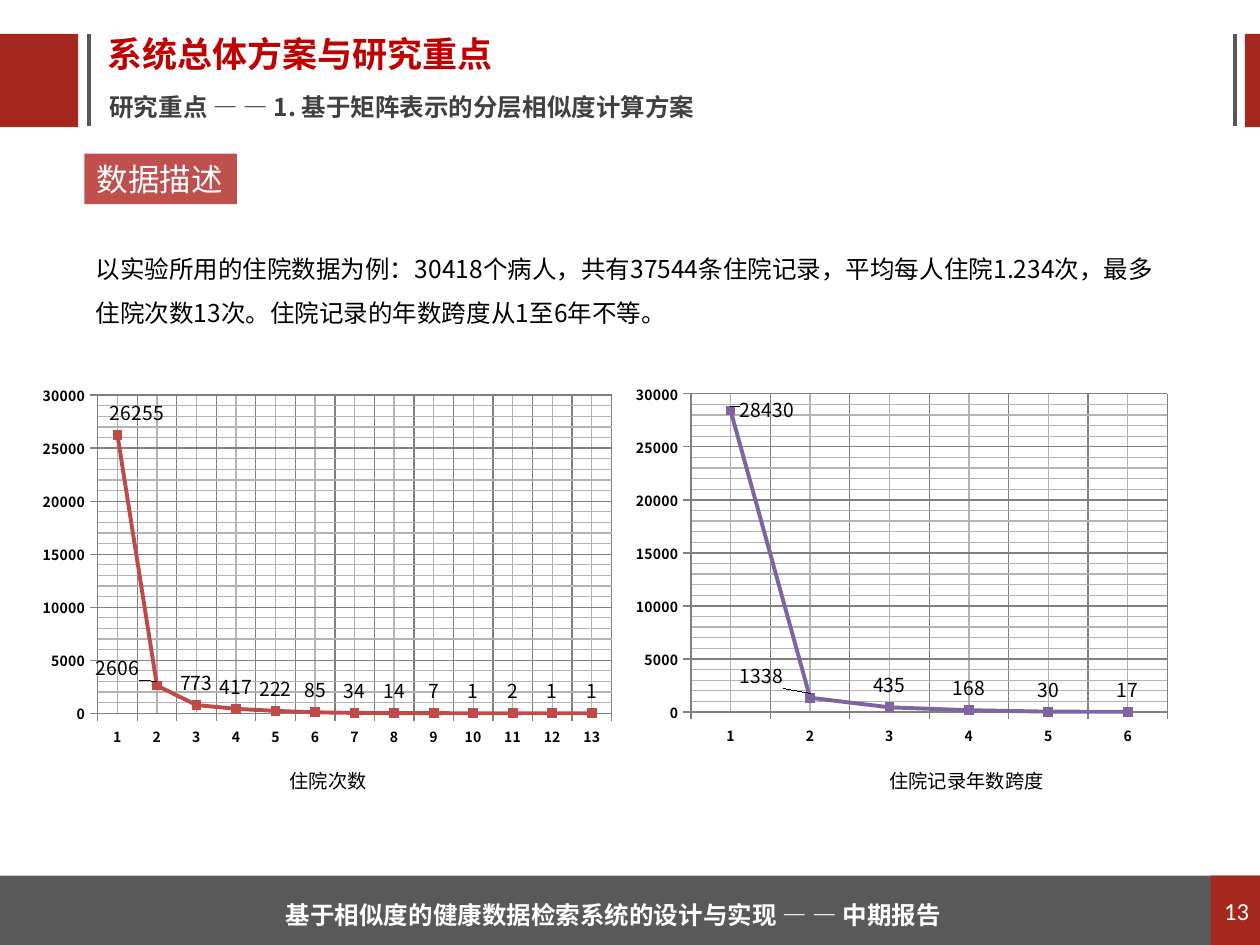
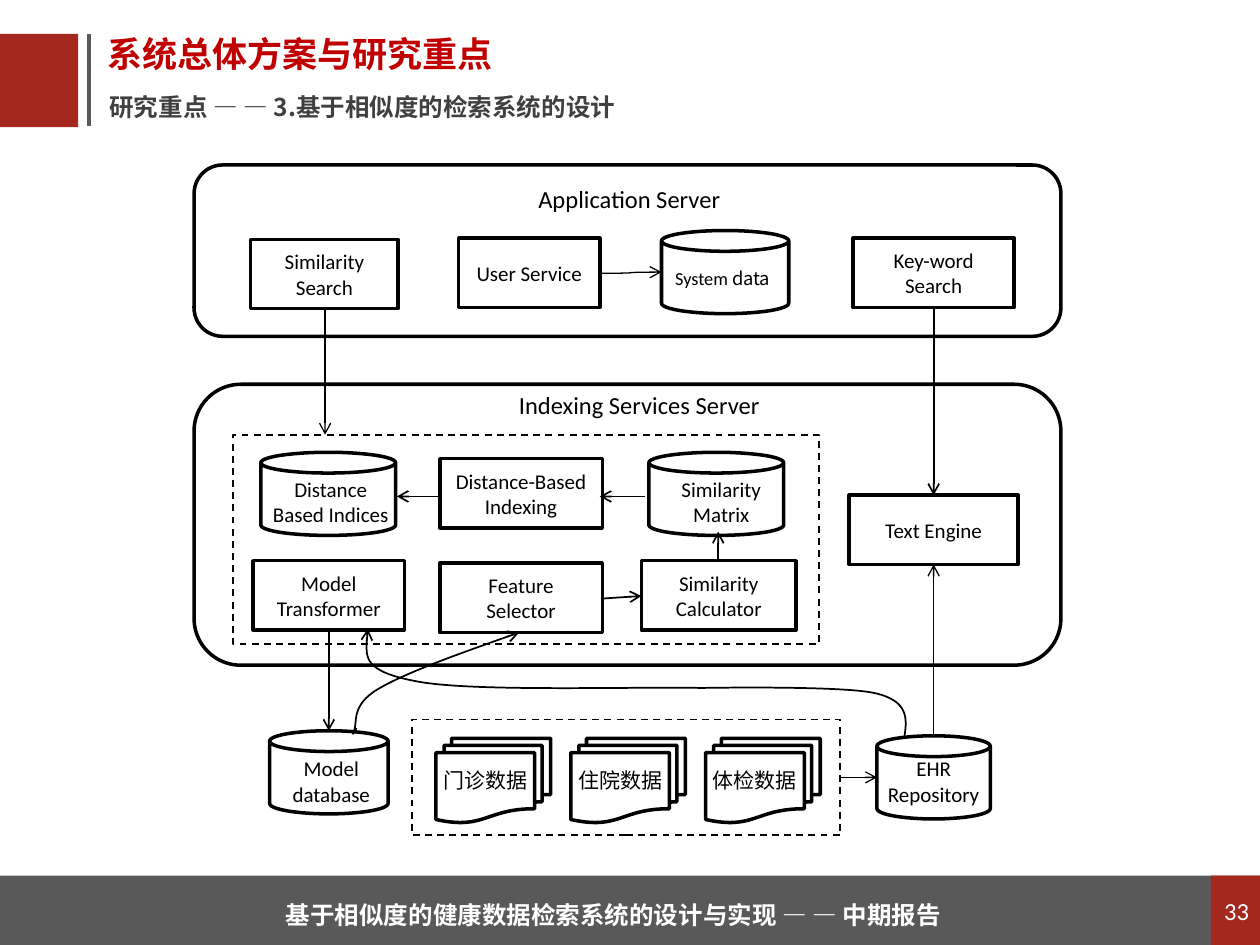
from lxml.etree import SubElement
from pptx import Presentation
from pptx.chart.data import CategoryChartData
from pptx.dml.color import RGBColor
from pptx.enum.chart import XL_CHART_TYPE, XL_LABEL_POSITION, XL_MARKER_STYLE, XL_TICK_MARK
from pptx.enum.dml import MSO_LINE
from pptx.enum.shapes import MSO_CONNECTOR, MSO_SHAPE
from pptx.enum.text import MSO_ANCHOR, MSO_AUTO_SIZE, PP_ALIGN
from pptx.oxml.ns import qn
from pptx.util import Inches, Pt

WIDTH, HEIGHT = Inches(10), Inches(7.5)
COLUMN, ROW = WIDTH / 10, HEIGHT / 7.5

BLACK = RGBColor(0x00, 0x00, 0x00)
WHITE = RGBColor(0xFF, 0xFF, 0xFF)
BRICK = RGBColor(0xA5, 0x28, 0x1E)
TITLE_RED = RGBColor(0xC0, 0x00, 0x00)
TAG_RED = RGBColor(0xC0, 0x50, 0x4D)
SERIES_RED = RGBColor(0xBE, 0x4B, 0x48)
SERIES_PURPLE = RGBColor(0x80, 0x64, 0xA2)
SLATE = RGBColor(0x59, 0x59, 0x59)
SUBTITLE_GRAY = RGBColor(0x40, 0x40, 0x40)
MAJOR_GRAY = RGBColor(0x80, 0x80, 0x80)
MINOR_GRAY = RGBColor(0xB3, 0xB3, 0xB3)

LATIN, CJK = "Calibri", "Noto Sans CJK SC"
TITLE = "系统总体方案与研究重点"
FOOTER = "基于相似度的健康数据检索系统的设计与实现 — — 中期报告"


def cells(*values):
    """Turn alternating grid columns and rows into slide lengths."""
    return [round(value * (ROW if index % 2 else COLUMN)) for index, value in enumerate(values)]


def write(shape, runs, size, color=BLACK, font=CJK, bold=False,
          align=PP_ALIGN.LEFT, wrap=True, spacing=None):
    """Write one paragraph, run by run; a run is text or a (text, font) pair."""
    frame = shape.text_frame
    frame.word_wrap = wrap
    para = frame.paragraphs[0]
    para.alignment = align
    para.line_spacing = spacing
    for item in [runs] if isinstance(runs, str) else runs:
        text, face = (item, font) if isinstance(item, str) else item
        span = para.add_run()
        span.text = text
        span.font.name, span.font.size, span.font.bold = face, Pt(size), bold
        span.font.color.rgb = color
        SubElement(span.font._element, qn("a:ea"), typeface=face)


def text(page, at, runs, size, inset=True, **style):
    """Add a text box that fits its text."""
    box = page.shapes.add_textbox(*cells(*at))
    frame = box.text_frame
    if not inset:
        frame.margin_left = frame.margin_right = frame.margin_top = frame.margin_bottom = 0
    write(box, runs, size, **style)
    frame.auto_size = MSO_AUTO_SIZE.SHAPE_TO_FIT_TEXT


def shape(page, at, kind=MSO_SHAPE.RECTANGLE, fill=None, line=None, dashed=False):
    """Add a preset shape with an optional fill and black outline."""
    form = page.shapes.add_shape(kind, *cells(*at))
    form.shadow.inherit = False
    if fill is None:
        form.fill.background()
    else:
        form.fill.solid()
        form.fill.fore_color.rgb = fill
    if line is None:
        form.line.fill.background()
    else:
        form.line.color.rgb = BLACK
        form.line.width = Pt(line)
        if dashed:
            form.line.dash_style = MSO_LINE.DASH
    form.text_frame.vertical_anchor = MSO_ANCHOR.MIDDLE
    return form


def add_arrowhead(form):
    """Put an open arrowhead at the end of a line."""
    SubElement(form.element.spPr.find(qn("a:ln")), qn("a:tailEnd"), type="arrow")


def line(page, start, end, weight=1.0, color=BLACK, arrow=True, kind=MSO_CONNECTOR.STRAIGHT):
    """Connect two grid points."""
    link = page.shapes.add_connector(kind, *cells(*start, *end))
    link.line.color.rgb = color
    link.line.width = Pt(weight)
    SubElement(link.element.spPr, qn("a:effectLst"))
    if arrow:
        add_arrowhead(link)


def curve(page, start, *controls):
    """Draw an arrow of cubic curves, three control points to each."""
    builder = page.shapes.build_freeform(*cells(*start))
    builder.add_line_segments([cells(*point) for point in controls], close=False)
    form = builder.convert_to_shape()
    form.shadow.inherit = False
    form.fill.background()
    form.line.color.rgb = BLACK
    form.line.width = Pt(1)
    add_arrowhead(form)
    outline = next(form.element.iter(qn("a:path")))
    for index, step in enumerate(outline.findall(qn("a:lnTo"))):
        if index % 3 == 0:
            cubic = SubElement(outline, qn("a:cubicBezTo"))
        cubic.append(step[0])
        outline.remove(step)


def node(page, at, label):
    """Add a labelled component box."""
    write(shape(page, at, fill=WHITE, line=2), label, 12, font=LATIN, align=PP_ALIGN.CENTER)


def store(page, at, label, label_at):
    """Add a data store with its label."""
    shape(page, at, MSO_SHAPE.CAN, line=2)
    text(page, label_at, label, 12, font=LATIN, align=PP_ALIGN.CENTER)


def side_mark(page, block_left, block_width, rule_left):
    """Add a heading block with its vertical rule."""
    shape(page, (block_left, 0.27, block_width, 0.74), fill=BRICK)
    line(page, (rule_left, 0.27), (rule_left, 1), 2.25, SLATE, arrow=False)


def new_page(deck, subtitle, number):
    """Add a page with the shared heading and footer."""
    page = deck.slides.add_slide(deck.slide_layouts[6])
    side_mark(page, 0, 0.62, 0.71)
    text(page, (0.85, 0.26, 3.09, 0.34), TITLE, 20, inset=False,
         color=TITLE_RED, bold=True, wrap=False)
    text(page, (0.77, 0.68, 5.18, 0.34), subtitle, 14, color=SUBTITLE_GRAY, bold=True)
    shape(page, (-0.03, 6.95, 10.05, 0.55), fill=SLATE)
    badge = shape(page, (9.61, 6.95, 0.41, 0.55), fill=BRICK)
    write(badge, number, 14, WHITE, LATIN, align=PP_ALIGN.CENTER)
    text(page, (2.17, 6.98, 5.51, 0.45), FOOTER, 14, color=WHITE, bold=True,
         wrap=False, spacing=1.5)
    return page


def set_layout(parent, index, **values):
    """Give a chart part a manual layout."""
    for old in parent.findall(qn("c:layout")):
        parent.remove(old)
    layout = parent.makeelement(qn("c:layout"))
    parent.insert(index, layout)
    manual = SubElement(layout, qn("c:manualLayout"))
    for name, value in values.items():
        SubElement(manual, qn(f"c:{name}"), val=str(value))


def style_axis(axis):
    """Style the grid, ticks and labels of an axis."""
    axis.has_major_gridlines = axis.has_minor_gridlines = True
    for rule in (axis.major_gridlines.format.line, axis.format.line):
        rule.color.rgb = MAJOR_GRAY
        rule.width = Pt(0.75)
    minor = SubElement(axis._element.find(qn("c:minorGridlines")), qn("c:spPr"))
    stroke = SubElement(minor, qn("a:ln"), w=str(Pt(0.75)))
    SubElement(SubElement(stroke, qn("a:solidFill")), qn("a:srgbClr"), val=str(MINOR_GRAY))
    axis.major_tick_mark = XL_TICK_MARK.OUTSIDE
    axis.minor_tick_mark = XL_TICK_MARK.NONE
    axis.tick_labels.font.size = Pt(8)
    axis.tick_labels.font.bold = True


def line_chart(page, at, values, color, label_shifts):
    """Add a marked line chart, shifting the labels of its first points."""
    data = CategoryChartData()
    data.categories = [str(number) for number in range(1, len(values) + 1)]
    data.add_series("Series 1", values)
    chart = page.shapes.add_chart(XL_CHART_TYPE.LINE_MARKERS, *cells(*at), data).chart
    chart.has_legend = chart.has_title = False
    chart.font.name, chart.font.size = CJK, Pt(11)
    chart.font.color.rgb = BLACK
    style_axis(chart.category_axis)
    style_axis(chart.value_axis)
    scale = chart.value_axis
    scale.minimum_scale, scale.maximum_scale = 0, 30000
    scale.major_unit, scale.minor_unit = 5000, 1000
    set_layout(next(chart.element.iter(qn("c:plotArea"))), 0, layoutTarget="inner",
               xMode="edge", yMode="edge", x=0.11, y=0.1, w=0.78, h=0.73)
    plot = chart.plots[0]
    plot.vary_by_categories = False
    series = plot.series[0]
    series.smooth = False
    series.format.line.color.rgb = color
    series.format.line.width = Pt(2.25)
    series.marker.style, series.marker.size = XL_MARKER_STYLE.SQUARE, 5
    series.marker.format.fill.solid()
    series.marker.format.fill.fore_color.rgb = color
    series.marker.format.line.color.rgb = color
    series.data_labels.show_value = True
    series.data_labels.position = XL_LABEL_POSITION.ABOVE
    for index in range(len(label_shifts)):
        series.points[index].data_label.position = XL_LABEL_POSITION.ABOVE
    labels = list(chart.element.iter(qn("c:dLbl")))
    for label, (x, y) in zip(labels, label_shifts):
        set_layout(label, 1, x=x, y=y)


def build_data_page(deck):
    """Build the page that describes the hospital data."""
    page = new_page(deck, "研究重点 — — 1. 基于矩阵表示的分层相似度计算方案", "13")
    side_mark(page, 9.88, 0.13, 9.8)
    write(shape(page, (0.67, 1.22, 1.21, 0.4), fill=TAG_RED), "数据描述", 18, WHITE, wrap=False)
    text(page, (0.66, 1.85, 8.76, 1.01),
         "以实验所用的住院数据为例：30418个病人，共有37544条住院记录，平均每人住院1.234次，"
         "最多住院次数13次。住院记录的年数跨度从1至6年不等。", 14, spacing=1.5)
    line_chart(page, (0.2, 2.79, 5.23, 3.46),
               (26255, 2606, 773, 417, 222, 85, 34, 14, 7, 1, 2, 1, 1),
               SERIES_RED, ((0.03, 0), (-0.06, 0.01)))
    line_chart(page, (4.95, 2.78, 4.85, 3.46), (28430, 1338, 435, 168, 30, 17),
               SERIES_PURPLE, ((0.06, 0.05), (-0.08, 0)))
    for left, caption in ((2.2, "住院次数"), (6.96, "住院记录年数跨度")):
        text(page, (left, 6.06, 1.43, 0.29), caption, 11)


def build_design_page(deck):
    """Build the page that shows the retrieval system."""
    page = new_page(deck, "研究重点 — — 3.基于相似度的检索系统的设计", "33")
    for top, height in ((1.31, 1.36), (3.05, 2.23)):
        shape(page, (1.54, top, 6.88, height), MSO_SHAPE.ROUNDED_RECTANGLE, line=2)
    for at, name in (((4.14, 1.41, 1.71, 0.34), "Application Server"),
                     ((4.01, 3.05, 2.13, 0.34), "Indexing Services Server")):
        text(page, at, name, 14, font=LATIN, align=PP_ALIGN.CENTER, wrap=False)
    for at in ((1.85, 3.45, 4.65, 1.66), (3.27, 5.71, 3.4, 0.92)):
        shape(page, at, line=1, dashed=True)

    for left, top, width, label in (
            (1.99, 1.9, 1.17, "Similarity Search"), (3.64, 1.89, 1.12, "User Service"),
            (6.77, 1.89, 1.28, "Key-word Search"), (3.49, 3.64, 1.29, "Distance-Based Indexing"),
            (6.74, 3.93, 1.34, "Text Engine"), (2.01, 4.45, 1.2, "Model Transformer"),
            (3.49, 4.47, 1.29, "Feature Selector"), (5.09, 4.45, 1.23, "Similarity Calculator")):
        node(page, (left, top, width, 0.55), label)

    store(page, (2.07, 3.59, 1.07, 0.66), "Distance Based Indices", (2.06, 3.73, 1.13, 0.5))
    store(page, (5.15, 3.59, 1.07, 0.66), "Similarity Matrix", (5.16, 3.73, 1.13, 0.5))
    store(page, (2.14, 5.8, 0.94, 0.66), "Model database", (2.18, 5.95, 0.9, 0.5))
    store(page, (6.96, 5.84, 0.9, 0.66), "EHR Repository", (6.85, 5.95, 1.12, 0.5))
    shape(page, (5.25, 1.83, 1.01, 0.66), MSO_SHAPE.CAN, line=2)
    text(page, (5.26, 2.07, 0.99, 0.28), (("System", LATIN), (" data", CJK)), 10.5, wrap=False)

    for index, label in enumerate(("门诊数据", "住院数据", "体检数据")):
        left = 3.46 + 1.07 * index
        shape(page, (left, 5.86, 0.91, 0.67), MSO_SHAPE.FLOWCHART_MULTIDOCUMENT, line=2)
        text(page, (left - 0.04, 6.04, 0.88, 0.3), label, 12, wrap=False)

    for start, end, weight in (
            ((7.41, 2.44), (7.41, 3.93), 1), ((4.79, 4.75), (5.09, 4.73), 1),
            ((5.12, 3.94), (4.76, 3.94), 1), ((3.51, 3.94), (3.15, 3.94), 1),
            ((5.7, 4.45), (5.7, 4.22), 1), ((2.61, 5), (2.61, 5.8), 1),
            ((2.58, 2.45), (2.58, 3.45), 0.75), ((7.41, 5.84), (7.41, 4.48), 0.75),
            ((6.67, 6.17), (6.96, 6.17), 0.75)):
        line(page, start, end, weight)
    line(page, (4.76, 2.17), (5.25, 2.16), 0.75, kind=MSO_CONNECTOR.CURVE)
    curve(page, (7.18, 5.84), (7.2, 5.7), (7.21, 5.56), (6.94, 5.5),
          (6.67, 5.44), (5.57, 5.46), (5.57, 5.46), (4.96, 5.45), (3.76, 5.49), (3.32, 5.41),
          (2.88, 5.33), (2.9, 5.16), (2.92, 4.99))
    curve(page, (2.83, 5.78), (2.81, 5.82), (2.79, 5.85), (2.81, 5.8),
          (2.84, 5.74), (2.78, 5.6), (3, 5.47), (3.22, 5.34), (3.67, 5.18), (4.12, 5.02))


def main():
    """Build and save the deck."""
    deck = Presentation()
    deck.slide_width, deck.slide_height = WIDTH, HEIGHT
    build_data_page(deck)
    build_design_page(deck)
    deck.save("out.pptx")


if __name__ == "__main__":
    main()
